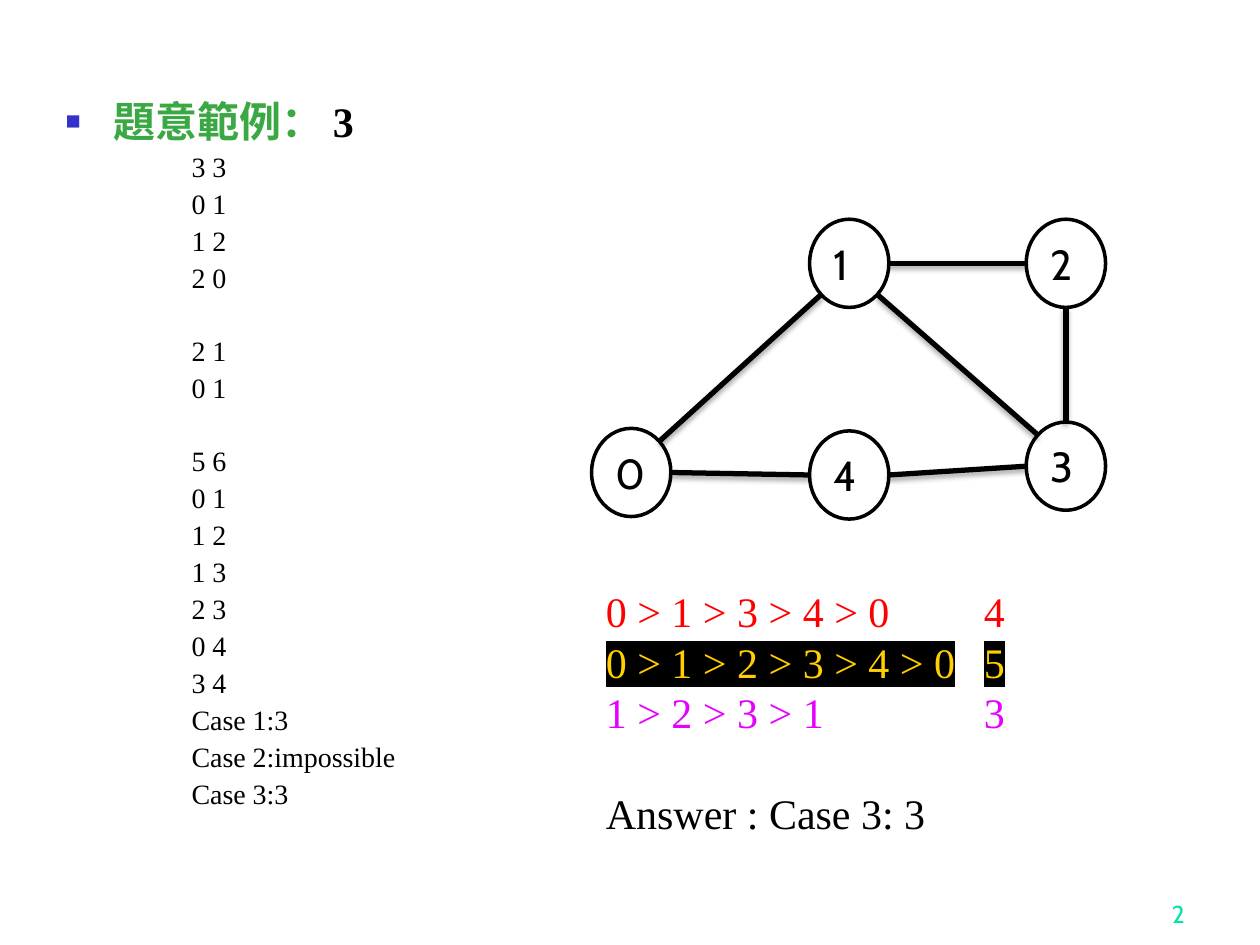
import math

from lxml import etree
from pptx import Presentation
from pptx.dml.color import RGBColor
from pptx.enum import shapes, text
from pptx.oxml import ns, parse_xml
from pptx.util import Inches, Pt

SERIF, SANS = "Times New Roman", "Cabin"
NODE_W, NODE_H = 0.63, 0.7
LINE_GAP = 3.9     # points between sample lines
SAMPLE_LINE = 20.5  # points from one sample line to the next
ROUTE_LINE = 28.8

SAMPLES = [
    ["3 3", "0 1", "1 2", "2 0"],
    ["2 1", "0 1"],
    ["5 6", "0 1", "1 2", "1 3", "2 3", "0 4", "3 4",
     "Case 1:3", "Case 2:impossible", "Case 3:3"],
]
# Node centres relative to the graph box
NODES = {"1": (2.05, 0.35), "2": (3.77, 0.35), "0": (0.32, 2.01),
         "3": (3.77, 1.96), "4": (2.05, 2.03)}
# Start node, its angle in degrees (clockwise from right), end node, its angle
EDGES = [("0", -45, "1", 135), ("1", 0, "2", 180), ("1", 45, "3", 225),
         ("2", 90, "3", 270), ("4", 0, "3", 180), ("0", 0, "4", 180)]
ROUTES = [("0 > 1 > 3 > 4 > 0", "4", "FF0000", None),
          ("0 > 1 > 2 > 3 > 4 > 0", "5", "FFCF01", "000000"),
          ("1 > 2 > 3 > 1", "3", "E600FF", None)]


def rgb(value):
    return RGBColor.from_string(value)


def add_run(paragraph, words, size, color, font=SERIF, bold=False):
    run = paragraph.add_run()
    run.text = words
    run.font.size, run.font.name, run.font.bold = Pt(size), font, bold
    run.font.color.rgb = rgb(color)
    return run


def add_child(parent, tag, **attributes):
    return etree.SubElement(parent, ns.qn(tag), attributes)


def set_bullet(paragraph, char=None, color="000000", percent=100):
    p_pr = paragraph._p.get_or_add_pPr()
    if char is None:
        add_child(p_pr, "a:buNone")
        return
    add_child(add_child(p_pr, "a:buClr"), "a:srgbClr", val=color)
    add_child(p_pr, "a:buSzPct", val=str(percent * 1000))
    add_child(p_pr, "a:buChar", char=char)


def set_margins(paragraph, left, first):
    p_pr = paragraph._p.get_or_add_pPr()
    p_pr.set("marL", str(Inches(left)))
    p_pr.set("indent", str(Inches(first)))


def text_frame(slide, left, top, width, height):
    box = slide.shapes.add_textbox(Inches(left), Inches(top), Inches(width), Inches(height))
    box.text_frame.word_wrap = True
    return box.text_frame


def add_samples(slide, left, top, width, height):
    body = slide.placeholders[1]
    body.left, body.top = Inches(left), Inches(top)
    body.width, body.height = Inches(width), Inches(height)
    frame = body.text_frame
    frame.auto_size = text.MSO_AUTO_SIZE.NONE

    # Heading with the number of test cases
    heading = frame.paragraphs[0]
    set_margins(heading, 0.38, -0.38)
    set_bullet(heading, "■", "3333CC", 60)
    heading.line_spacing, heading.space_before = 0.9, Pt(0)
    add_run(heading, "題意範例：", 24, "3BA943", bold=True)
    add_run(heading, " 3", 24, "000000", bold=True)

    # Input and output lines, with a gap before each later case
    for case, lines in enumerate(SAMPLES):
        for row, words in enumerate(lines):
            paragraph = frame.add_paragraph()
            set_margins(paragraph, 1, 0)
            set_bullet(paragraph)
            paragraph.line_spacing = 0.9
            gap = SAMPLE_LINE if case and row == 0 else 0
            paragraph.space_before = Pt(LINE_GAP + gap)
            add_run(paragraph, words, 16, "000000")


def add_shadow(line):
    line._element.spPr.append(parse_xml(
        f'<a:effectLst {ns.nsdecls("a")}><a:outerShdw blurRad="{Pt(3.1)}" dist="{Pt(1.8)}" '
        'dir="5400000" rotWithShape="0"><a:srgbClr val="000000"><a:alpha val="35000"/>'
        '</a:srgbClr></a:outerShdw></a:effectLst>'))


def add_graph(slide, left, top):
    def rim_point(node, degrees):
        x, y = NODES[node]
        angle = math.radians(degrees)
        return (Inches(left + x + NODE_W / 2 * math.cos(angle)),
                Inches(top + y + NODE_H / 2 * math.sin(angle)))

    # Nodes
    for label, (x, y) in NODES.items():
        node = slide.shapes.add_shape(
            shapes.MSO_SHAPE.OVAL, Inches(left + x - NODE_W / 2),
            Inches(top + y - NODE_H / 2), Inches(NODE_W), Inches(NODE_H))
        node.shadow.inherit = False
        node.fill.solid()
        node.fill.fore_color.rgb = rgb("FFFFFF")
        node.line.color.rgb, node.line.width = rgb("000000"), Pt(2)
        node.text_frame.word_wrap = False
        paragraph = node.text_frame.paragraphs[0]
        paragraph.alignment = text.PP_ALIGN.LEFT
        add_run(paragraph, label, 24, "000000", SANS)

    # Edges
    for start, start_angle, end, end_angle in EDGES:
        edge = slide.shapes.add_connector(
            shapes.MSO_CONNECTOR.STRAIGHT,
            *rim_point(start, start_angle), *rim_point(end, end_angle))
        edge.line.color.rgb, edge.line.width = rgb("000000"), Pt(3)
        add_shadow(edge)


def add_routes(slide, left, top, width, height):
    frame = text_frame(slide, left, top, width, height)

    # Cycles with their lengths at one tab stop
    for row, (route, length, color, highlight) in enumerate(ROUTES):
        paragraph = frame.add_paragraph() if row else frame.paragraphs[0]
        tabs = add_child(paragraph._p.get_or_add_pPr(), "a:tabLst")
        add_child(tabs, "a:tab", pos=str(Inches(3)), algn="l")
        paragraph.line_spacing = Pt(ROUTE_LINE)
        run = add_run(paragraph, f"{route}\t{length}", 24, color)
        if highlight:
            mark = etree.Element(ns.qn("a:highlight"))
            add_child(mark, "a:srgbClr", val=highlight)
            run.font._element.find(ns.qn("a:solidFill")).addnext(mark)

    # Shortest cycle
    answer = frame.add_paragraph()
    answer.line_spacing, answer.space_before = Pt(ROUTE_LINE), Pt(ROUTE_LINE)
    add_run(answer, "Answer : Case 3: 3", 24, "000000")


def add_page_number(slide, left, top, width, height):
    frame = text_frame(slide, left, top, width, height)
    frame.vertical_anchor = text.MSO_ANCHOR.BOTTOM
    frame.paragraphs[0].alignment = text.PP_ALIGN.RIGHT
    add_run(frame.paragraphs[0], "2", 14, "00E4A8", SANS)


def main():
    deck = Presentation()
    deck.slide_width, deck.slide_height = Inches(10), Inches(7.5)
    slide = deck.slides.add_slide(deck.slide_layouts[1])
    title = slide.shapes.title._element
    title.getparent().remove(title)

    add_page_number(slide, 7.42, 6.92, 2.08, 0.5)
    add_samples(slide, 0.42, 0.75, 8.83, 6.15)
    add_graph(slide, 4.69, 1.74)
    add_routes(slide, 4.71, 4.6, 4.07, 2.93)
    deck.save("out.pptx")


if __name__ == "__main__":
    main()
